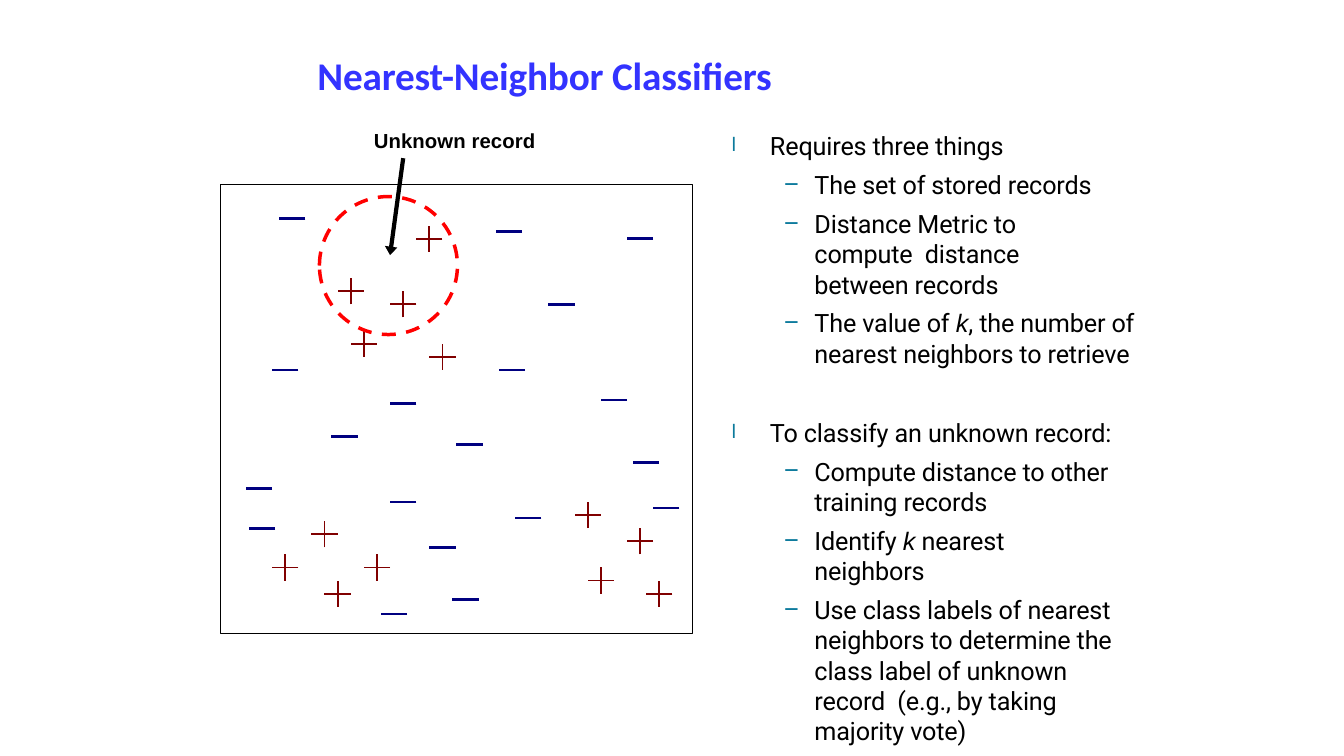
"""Build the slide on nearest-neighbor classifiers."""
from typing import NamedTuple

from lxml import etree
from pptx import Presentation
from pptx import util as u
from pptx.dml import color
from pptx.enum import dml, shapes, text
from pptx.oxml import ns


class Box(NamedTuple):
    left: float
    top: float
    width: float
    height: float


class Item(NamedTuple):
    words: str
    level: int = 1
    before: float = 6.2
    right: float = 0


class Level(NamedTuple):
    sign: str
    scale: int
    left: float
    hang: float


class Mark(NamedTuple):
    hue: str
    width: float
    arms: list
    spots: list


ARM = 9.4
FLAT = (ARM, 0)
TALL = (0, ARM)
TEAL = "0C7A9C"
LEVELS = [Level("l", 75, 28, 27.4), Level("–", 100, 59.8, 22.3)]

NEEDS = [
    Item("The set of stored records", before=0),
    Item("Distance Metric to compute  distance between records", right=58),
    Item("The value of *k*, the number of  nearest neighbors to retrieve"),
    Item("To classify an unknown record:", level=0, before=35),
    Item("Compute distance to other  training records"),
    Item("Identify *k* nearest neighbors", right=58),
    Item("Use class labels of nearest  neighbors to determine the  "
         "class label of unknown record  (e.g., by taking majority vote)",
         right=14.4),
]

PLUS = Mark("800000", 1.33, [FLAT, TALL], [
    (250.6, 208.1), (288, 217.4), (259.9, 245.5), (306.7, 170.6),
    (316.1, 254.9), (203.8, 405.4), (269.3, 405.4), (241.2, 424.1),
    (231.8, 381.6), (457.2, 386.6), (470.9, 424.1), (429.1, 414.7),
    (419.8, 367.9)])
MINUS = Mark("000080", 1.92, [FLAT], [
    (203.8, 264.2), (377.3, 370.1), (461.5, 330.5), (332.6, 428.4),
    (335.5, 317.5), (401, 217.4), (246.2, 311.8), (363.6, 165.6),
    (185, 349.2), (208.8, 156.2), (438.5, 285.8), (365.8, 264.2),
    (288, 358.6), (187.2, 377.3), (457.2, 170.6), (288, 288),
    (316.1, 391), (281.5, 438.5), (475.9, 362.9)])


def rgb(hue: str) -> color.RGBColor:
    return color.RGBColor.from_string(hue)


def pen(line, hue: str, width: float) -> None:
    line.color.rgb = rgb(hue)
    line.width = u.Pt(width)


def frame(slide, box: Box, inset: float = 0.7):
    area = slide.shapes.add_textbox(*map(u.Pt, box)).text_frame
    area.word_wrap = True
    area.auto_size = text.MSO_AUTO_SIZE.NONE
    area.margin_left = area.margin_right = area.margin_bottom = 0
    area.margin_top = u.Pt(inset)
    return area


def write(para, words: str, *, size: float = 18, face: str = "Roboto",
          hue: str = "000000", bold: bool = False, track: int = -10) -> None:
    for spot, part in enumerate(words.split("*")):
        run = para.add_run()
        run.text = part
        slant = spot % 2 == 1
        font = run.font
        font.name = "Arial" if slant else face
        font.size = u.Pt(size)
        font.bold = bold
        font.italic = slant
        font.color.rgb = rgb(hue)
        run._r.get_or_add_rPr().set("spc", str(track))


def tag(parent, name: str, **keys: str):
    return etree.SubElement(parent, ns.qn(f"a:{name}"), **keys)


def bullet(para, item: Item) -> None:
    level = LEVELS[item.level]
    props = para._p.get_or_add_pPr()
    props.set("marL", str(u.Pt(level.left)))
    props.set("marR", str(u.Pt(item.right)))
    props.set("indent", str(-u.Pt(level.hang)))
    para.space_before = u.Pt(item.before)
    tag(tag(props, "buClr"), "srgbClr", val=TEAL)
    tag(props, "buSzPct", val=str(level.scale * 1000))
    tag(props, "buFont", typeface="Roboto")
    tag(props, "buChar", char=level.sign)


def fill_list(slide, box: Box, items: list[Item], inset: float) -> None:
    area = frame(slide, box, inset)
    for spot, item in enumerate(items):
        para = area.add_paragraph() if spot else area.paragraphs[0]
        bullet(para, item)
        write(para, item.words)


def outline(slide, kind, box: Box, hue: str, width: float):
    shape = slide.shapes.add_shape(kind, *map(u.Pt, box))
    shape.shadow.inherit = False
    shape.fill.background()
    pen(shape.line, hue, width)
    return shape


def scatter(slide, mark: Mark) -> None:
    strokes = [[(u.Pt(x + side * dx), u.Pt(y + side * dy)) for side in (1, -1)]
               for x, y in mark.spots for dx, dy in mark.arms]
    path = slide.shapes.build_freeform(*strokes[0][0])
    for start, end in strokes:
        path.move_to(*start)
        path.add_line_segments([end], close=False)
    shape = path.convert_to_shape()
    shape.shadow.inherit = False
    shape.fill.background()
    pen(shape.line, mark.hue, mark.width)


def arrow(slide, start: tuple, end: tuple) -> None:
    line = slide.shapes.add_connector(
        shapes.MSO_CONNECTOR.STRAIGHT, *map(u.Pt, start + end))
    pen(line.line, "000000", 3)
    tag(line.line._get_or_add_ln(), "tailEnd",
        type="triangle", w="med", len="sm")
    tag(line._element.spPr, "effectLst")


def main() -> None:
    deck = Presentation()
    deck.slide_width, deck.slide_height = u.Pt(960), u.Pt(540)
    slide = deck.slides.add_slide(deck.slide_layouts[6])

    title = frame(slide, Box(226.8, 36, 507, 54.7))
    write(title.paragraphs[0], "Nearest-Neighbor Classifiers",
          size=28, face="Calibri", hue="3333FF", bold=True)
    fill_list(slide, Box(522, 92.2, 200, 23.8),
              [Item("Requires three things", level=0, before=0)], 0.7)
    fill_list(slide, Box(522, 113.8, 297.4, 354.2), NEEDS, 7.2)

    kind = shapes.MSO_SHAPE
    outline(slide, kind.RECTANGLE, Box(157, 131.8, 337.7, 320.4),
            "000000", 0.25)
    scatter(slide, PLUS)
    scatter(slide, MINUS)
    ring = outline(slide, kind.OVAL, Box(228.2, 140.4, 98.6, 98.6),
                   "FF0000", 2.5)
    ring.line.dash_style = dml.MSO_LINE.DASH
    arrow(slide, (288, 113), (278.6, 182.2))
    label = frame(slide, Box(267.1, 90.7, 117, 19.4))
    write(label.paragraphs[0], "Unknown record",
          size=14.5, face="Arial", bold=True, track=5)
    deck.save("out.pptx")


if __name__ == "__main__":
    main()
